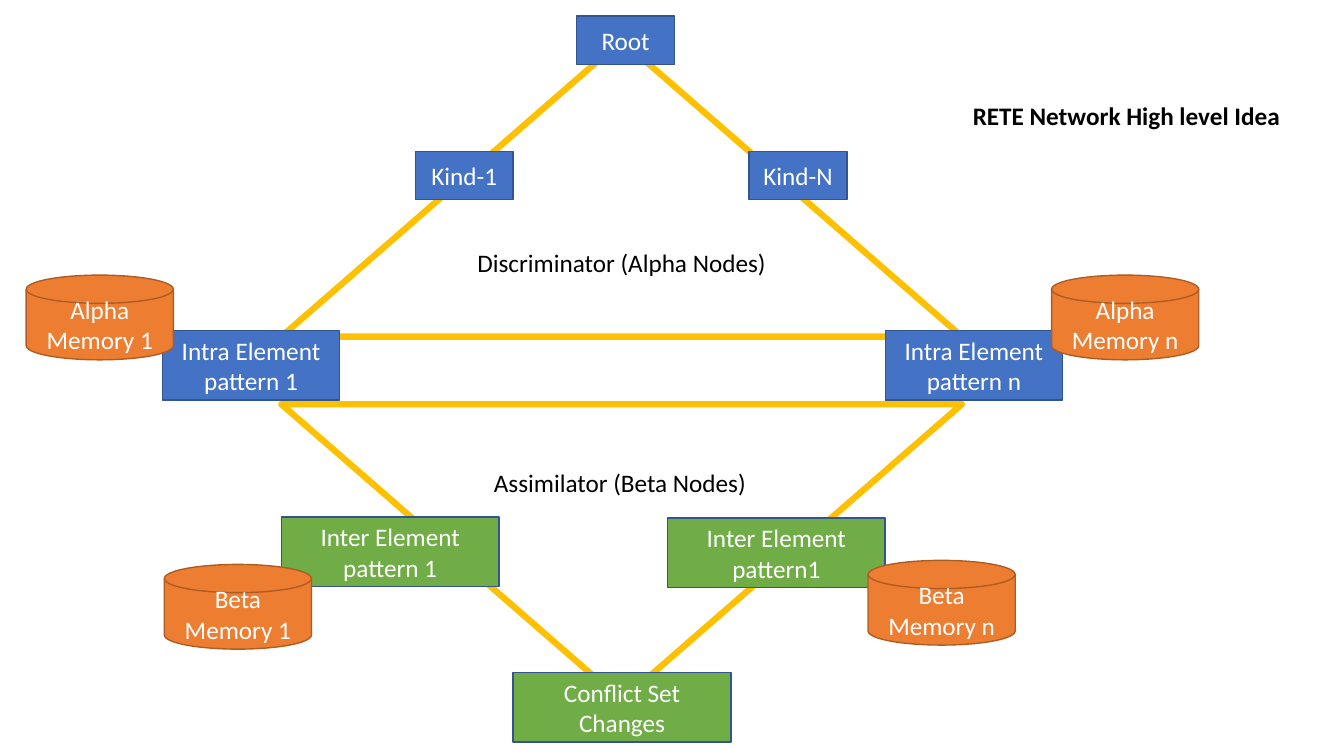
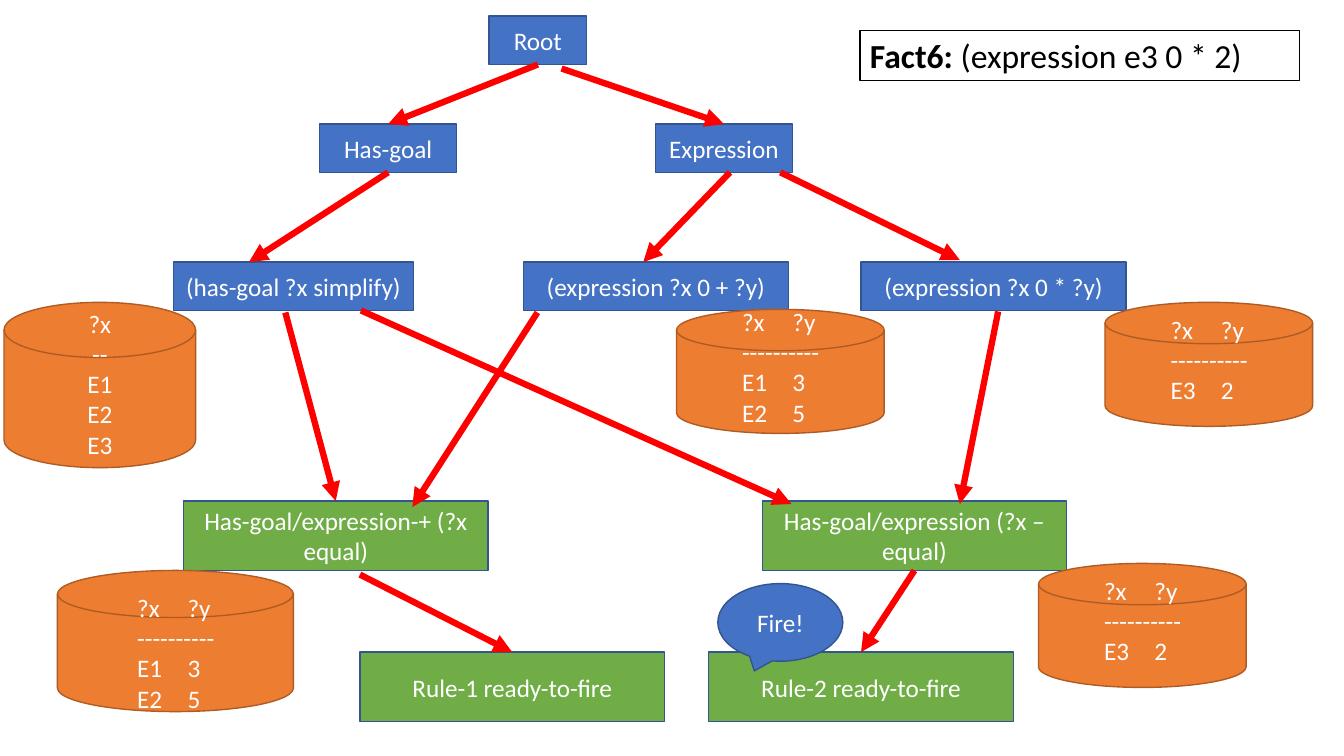
from dataclasses import dataclass

from lxml import etree
from pptx import Presentation
from pptx.dml.color import RGBColor as RGB
from pptx.enum.shapes import MSO_CONNECTOR as CONN, MSO_SHAPE as SHAPE
from pptx.enum.text import MSO_ANCHOR as ANCHOR, PP_ALIGN as ALIGN
from pptx.oxml.ns import qn
from pptx.util import Inches, Pt


@dataclass(frozen=True)
class Theme:
    font: str = "Calibri"
    body: int = 18
    large: int = 24
    hairline: float = 1
    thick: float = 4.5
    white: RGB = RGB.from_string("FFFFFF")
    black: RGB = RGB.from_string("000000")
    blue: RGB = RGB.from_string("4472C4")
    blue_edge: RGB = RGB.from_string("325491")
    green: RGB = RGB.from_string("70AD47")
    orange: RGB = RGB.from_string("ED7D31")
    orange_edge: RGB = RGB.from_string("AF5C24")
    gold: RGB = RGB.from_string("FFC000")
    red: RGB = RGB.from_string("FF0000")


T = Theme()
TOP, BOTTOM = 0, 2
NODE_H, PATTERN_H = 0.48, 0.69
LINE_H = 0.3
RULE = "-" * 10
RULE_W = 0.76
COLUMN_GAP = 0.5


def write(tf, text, color, align=ALIGN.CENTER, size=T.body, bold=False):
    tf.word_wrap = True
    tf.text = text
    for p in tf.paragraphs:
        p.alignment = align
        p.font.name = T.font
        p.font.size = Pt(size)
        p.font.bold = bold
        p.font.color.rgb = color


def add_figure(s, kind, x, y, w, h, fill, edge, width=T.hairline):
    sp = s.shapes.add_shape(kind, Inches(x), Inches(y), Inches(w), Inches(h))
    sp.shadow.inherit = False
    if fill is None:
        sp.fill.background()
    else:
        sp.fill.solid()
        sp.fill.fore_color.rgb = fill
    sp.line.color.rgb = edge
    sp.line.width = Pt(width)
    sp.text_frame.vertical_anchor = ANCHOR.MIDDLE
    return sp


def add_node(s, text, x, y, w, h=NODE_H, fill=T.blue, kind=SHAPE.RECTANGLE):
    sp = add_figure(s, kind, x, y, w, h, fill, T.blue_edge)
    write(sp.text_frame, text, T.white)
    return sp


def add_pattern(s, text, x, y, w):
    return add_node(s, text, x, y, w, PATTERN_H, T.green)


def add_memory(s, text, x, y, w=1.46, h=0.84, raised=False):
    sp = add_figure(s, SHAPE.FLOWCHART_MAGNETIC_DISK, x, y, w, h, T.orange, T.orange_edge)
    write(sp.text_frame, text, T.white)
    if raised:
        sp.text_frame.margin_bottom = Inches(0.05 + LINE_H)
    return sp


def add_table_memory(s, rows, x, y, w, h, raised=True):
    lines = ["\t".join(row) for row in rows]
    lines.insert(1, RULE)
    tf = add_memory(s, "\n".join(lines), x, y, w, h, raised).text_frame
    tf.margin_left = Inches((w - RULE_W) / 2)
    tf.margin_right = 0
    for p in tf.paragraphs:
        p.alignment = ALIGN.LEFT
        tabs = etree.Element(qn("a:tabLst"))
        etree.SubElement(tabs, qn("a:tab"), pos=str(Inches(COLUMN_GAP)), algn="l")
        p._p.get_or_add_pPr().insert(0, tabs)


def add_caption(s, text, x, y, w, bold=False):
    sp = s.shapes.add_textbox(Inches(x), Inches(y), Inches(w), Inches(0.4))
    write(sp.text_frame, text, T.black, ALIGN.LEFT, bold=bold)


def add_triangle(s, y, rotation=0):
    sp = add_figure(s, SHAPE.ISOSCELES_TRIANGLE, 2.79, y, 6.75, 2.94, None, T.gold, T.thick)
    sp.rotation = rotation
    return sp


def add_arrow(s, start, end):
    points = [p if isinstance(p, tuple) else (0, 0) for p in (start, end)]
    c = s.shapes.add_connector(CONN.STRAIGHT, *(Inches(v) for p in points for v in p))
    if not isinstance(start, tuple):
        c.begin_connect(start, BOTTOM)
    if not isinstance(end, tuple):
        c.end_connect(end, TOP)
    c.line.color.rgb = T.red
    c.line.width = Pt(T.thick)
    etree.SubElement(c.line._get_or_add_ln(), qn("a:tailEnd"), type="triangle")
    etree.SubElement(c._element.spPr, qn("a:effectLst"))


def add_fact(s, label, fact):
    sp = add_figure(s, SHAPE.RECTANGLE, 8.53, 0.3, 4.36, 0.5, T.white, T.black)
    tf = sp.text_frame
    tf.vertical_anchor = ANCHOR.TOP
    write(tf, label, T.black, ALIGN.LEFT, T.large)
    p = tf.paragraphs[0]
    p.runs[0].font.bold = True
    r = p.add_run()
    r.text = fact


def build_overview(s):
    add_triangle(s, 4.01, 180)
    upper = add_triangle(s, 0.4)
    write(upper.text_frame, "Discriminator (Alpha Nodes)", T.black)

    add_node(s, "Root", 5.72, 0.16, 0.97)
    for text, x in (("Kind-1", 4.12), ("Kind-N", 7.43)):
        add_node(s, text, x, 1.5, 0.97)
    for text, x in (("Intra Element pattern 1", 1.61), ("Intra Element pattern n", 8.78)):
        add_node(s, text, x, 3.28, 1.76, PATTERN_H)
    for text, x, y in (
        ("Inter Element pattern 1", 2.79, 5.13),
        ("Inter Element pattern1", 6.62, 5.14),
        ("Conflict Set Changes", 5.09, 6.67),
    ):
        add_pattern(s, text, x, y, 2.16)

    add_caption(s, "Assimilator (Beta Nodes)", 4.8, 4.59, 2.94)
    add_caption(s, "RETE Network High level Idea", 9.55, 0.95, 3.3, bold=True)
    for text, x, y in (
        ("Alpha Memory 1", 0.26, 2.73),
        ("Alpha Memory n", 10.43, 2.73),
        ("Beta Memory 1", 1.63, 5.6),
        ("Beta Memory n", 8.61, 5.56),
    ):
        add_memory(s, text, x, y)


def build_example(s):
    root = add_node(s, "Root", 4.85, 0.16, 0.97)
    has_goal, expression = [
        add_node(s, text, x, 1.23, 1.36) for text, x in (("Has-goal", 3.17), ("Expression", 6.5))
    ]
    for text, x, w in (
        ("(has-goal ?x simplify)", 1.72, 2.38),
        ("(expression ?x 0 * ?y)", 8.54, 2.63),
        ("(expression ?x 0 + ?y)", 5.19, 2.63),
    ):
        add_node(s, text, x, 2.6, w)
    plus_join, times_join, rule_1, rule_2 = [
        add_pattern(s, text, x, y, 3.02)
        for text, x, y in (
            ("Has-goal/expression-+ (?x equal)", 1.82, 4.97),
            ("Has-goal/expression (?x – equal)", 7.56, 4.97),
            ("Rule-1 ready-to-fire", 3.57, 6.47),
            ("Rule-2 ready-to-fire", 7.03, 6.47),
        )
    ]

    header = ("?x", "?y")
    sums = [header, ("E1", "3"), ("E2", "5")]
    products = [header, ("E3", "2")]
    add_memory(s, "?x\n--\nE1\nE2\nE3", 0.04, 3, 1.9, 1.64, raised=True)
    for rows, x, y in ((sums, 6.71, 3.07), (products, 10.96, 3), (products, 10.3, 5.59)):
        add_table_memory(s, rows, x, y, 2.06, 1.23)
    add_table_memory(s, sums, 0.57, 5.66, 2.34, 1.4, raised=False)

    for start, end in (
        (root, has_goal),
        (has_goal, (2.47, 2.6)),
        ((2.83, 3.1), plus_join),
        ((5.33, 3.1), (4.09, 5.03)),
        ((7.24, 1.71), (6.38, 2.6)),
        ((5.57, 0.68), expression),
        ((7.74, 1.71), (9.52, 2.58)),
        ((3.58, 3.08), (7.85, 5)),
        ((9.9, 3.09), (9.52, 5)),
        ((3.57, 5.7), rule_1),
        (times_join, rule_2),
    ):
        add_arrow(s, start, end)

    add_fact(s, "Fact6: ", "(expression e3 0 * 2)")
    add_node(s, "Fire!", 7.12, 5.79, 1.24, 0.77, kind=SHAPE.OVAL_CALLOUT)


def main():
    prs = Presentation()
    prs.slide_width, prs.slide_height = Inches(13.33), Inches(7.5)
    for build in (build_overview, build_example):
        build(prs.slides.add_slide(prs.slide_layouts[6]))
    prs.save("out.pptx")


if __name__ == "__main__":
    main()
